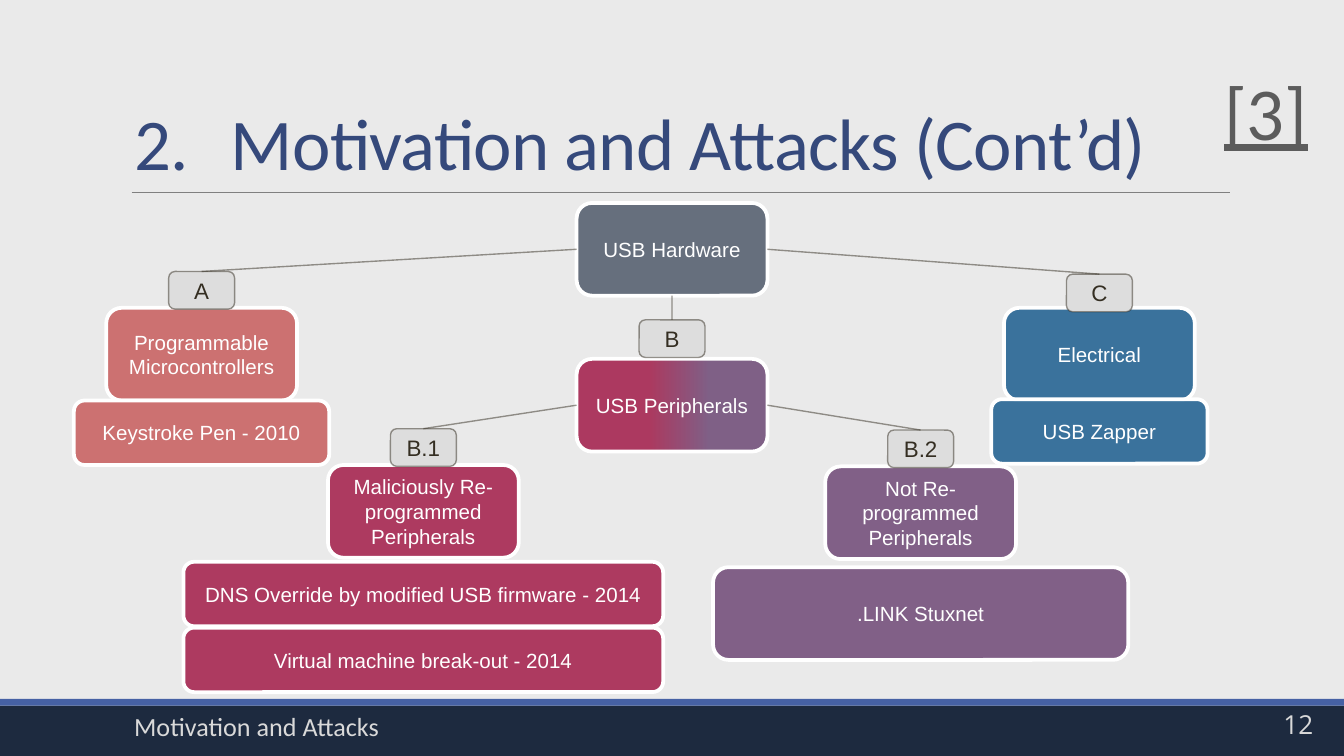
from lxml import etree
from pptx import Presentation
from pptx.dml.color import RGBColor
from pptx.enum.shapes import MSO_CONNECTOR, MSO_SHAPE
from pptx.enum.text import MSO_ANCHOR, PP_ALIGN
from pptx.oxml.ns import qn
from pptx.util import Pt

SCALE = 4572
SLIDE_WIDTH, SLIDE_HEIGHT = 2000, 1125
NODE_WIDTH, NODE_HEIGHT = 284, 138
TAG_WIDTH, TAG_HEIGHT = 98, 56
LEAF_HEIGHT, LEAF_PITCH = 96, 98
TOP, LEFT, BOTTOM, RIGHT = range(4)

RECTANGLE = MSO_SHAPE.RECTANGLE
ROUNDED = MSO_SHAPE.ROUNDED_RECTANGLE
STRAIGHT = MSO_CONNECTOR.STRAIGHT
ALIGN_LEFT, ALIGN_CENTER, ALIGN_RIGHT = PP_ALIGN.LEFT, PP_ALIGN.CENTER, PP_ALIGN.RIGHT
ANCHOR_TOP, ANCHOR_MIDDLE, ANCHOR_BOTTOM = MSO_ANCHOR.TOP, MSO_ANCHOR.MIDDLE, MSO_ANCHOR.BOTTOM

BACKGROUND = RGBColor(0xEA, 0xEA, 0xEA)
NAVY = RGBColor(0x1D, 0x2A, 0x3F)
ACCENT = RGBColor(0x46, 0x61, 0xA4)
RULE_GRAY = RGBColor(0x80, 0x80, 0x80)
TITLE_BLUE = RGBColor(0x35, 0x49, 0x7B)
FOOTER_GRAY = RGBColor(0xD9, 0xD9, 0xD9)
REFERENCE_GRAY = RGBColor(0x5C, 0x5C, 0x5C)
WHITE = RGBColor(0xFF, 0xFF, 0xFF)
SLATE = RGBColor(0x3B, 0x47, 0x59)
RED = RGBColor(0xC3, 0x49, 0x49)
CRIMSON = RGBColor(0x99, 0x00, 0x33)
PURPLE = RGBColor(0x5E, 0x33, 0x67)
BLUE = RGBColor(0x00, 0x4A, 0x82)
TAG_GRAY = RGBColor(0xDD, 0xDD, 0xDD)
INK = RGBColor(0x34, 0x2E, 0x22)


def px(*lengths):
    return [length * SCALE for length in lengths]


def fade(element, percent):
    for color in element.iter(qn("a:srgbClr")):
        etree.SubElement(color, qn("a:alpha")).set("val", str(percent * 1000))


def write(shape, text, font, size, color, align, anchor):
    frame = shape.text_frame
    frame.word_wrap = True
    frame.vertical_anchor = anchor
    paragraph = frame.paragraphs[0]
    paragraph.alignment = align
    run = paragraph.add_run()
    run.text = text
    run.font.name = font
    run.font.size = Pt(size)
    run.font.color.rgb = color
    return paragraph, run


def add_text(slide, box, text, font, size, color, align=ALIGN_LEFT, anchor=ANCHOR_MIDDLE):
    shape = slide.shapes.add_textbox(*px(*box))
    return write(shape, text, font, size, color, align, anchor)


def add_band(slide, box, color):
    shape = slide.shapes.add_shape(RECTANGLE, *px(*box))
    shape.shadow.inherit = False
    shape.fill.solid()
    shape.fill.fore_color.rgb = color
    shape.line.fill.background()


def add_line(slide, color, width, ends=(0, 0, 0, 0)):
    line = slide.shapes.add_connector(STRAIGHT, *px(*ends))
    line.line.color.rgb = color
    line.line.width = Pt(width)
    etree.SubElement(line._element.spPr, qn("a:effectLst"))
    return line


def link(slide, start, start_side, end):
    line = add_line(slide, INK, 0.75)
    fade(line._element.spPr, 50)
    line.begin_connect(start, start_side)
    line.end_connect(end, TOP)


def fill_gradient(shape, stops):
    shape.fill.gradient()
    shape.fill.gradient_angle = 0
    stop_list = shape._element.spPr.find(".//" + qn("a:gsLst"))
    for stop in list(stop_list):
        stop_list.remove(stop)
    for position, color in stops:
        stop = etree.SubElement(stop_list, qn("a:gs"), pos=str(position * 1000))
        etree.SubElement(stop, qn("a:srgbClr"), val=str(color))


def add_node(slide, box, text, color, gradient=None):
    node = slide.shapes.add_shape(ROUNDED, *px(*box))
    node.shadow.inherit = False
    if gradient:
        fill_gradient(node, gradient)
    else:
        node.fill.solid()
        node.fill.fore_color.rgb = color
    fade(node._element.spPr, 75)
    node.line.color.rgb = WHITE
    node.line.width = Pt(2)
    write(node, text, "Arial", 11, WHITE, ALIGN_CENTER, ANCHOR_MIDDLE)
    return node


def add_tag(slide, box, text):
    tag = slide.shapes.add_shape(ROUNDED, *px(*box))
    tag.shadow.inherit = False
    tag.line.color.rgb = INK
    tag.line.width = Pt(0.75)
    fade(tag._element.spPr, 50)
    tag.fill.solid()
    tag.fill.fore_color.rgb = TAG_GRAY
    write(tag, text, "Arial", 12, INK, ALIGN_CENTER, ANCHOR_MIDDLE)
    return tag


def add_branch(slide, left, top, drop, label, text, color, leaves=(), leaf_drop=0,
               leaf_width=0, leaf_height=LEAF_HEIGHT, gradient=None):
    center = left + NODE_WIDTH // 2
    node_top = top + drop
    node = add_node(slide, (left, node_top, NODE_WIDTH, NODE_HEIGHT), text, color, gradient)
    tag = add_tag(slide, (center - TAG_WIDTH // 2, top, TAG_WIDTH, TAG_HEIGHT), label)
    for index, leaf in enumerate(leaves):
        leaf_top = node_top + leaf_drop + index * LEAF_PITCH
        add_node(slide, (center - leaf_width // 2, leaf_top, leaf_width, leaf_height), leaf, color)
    return node, tag


def add_tree(slide, left, top):
    root = add_node(slide, (left + 700, top, NODE_WIDTH, NODE_HEIGHT), "USB Hardware", SLATE)
    _, tag_a = add_branch(slide, left, top + 102, 54, "A", "Programmable Microcontrollers", RED,
                          ["Keystroke Pen - 2010"], 138, 380)
    hub, tag_b = add_branch(slide, left + 700, top + 174, 58, "B", "USB Peripherals", CRIMSON,
                            gradient=[(0, CRIMSON), (38, CRIMSON), (69, PURPLE), (100, PURPLE)])
    _, tag_c = add_branch(slide, left + 1336, top + 106, 50, "C", "Electrical", BLUE,
                          ["USB Zapper"], 136, 322)
    _, tag_b1 = add_branch(slide, left + 330, top + 336, 54, "B.1",
                           "Maliciously Re-programmed Peripherals", CRIMSON,
                           ["DNS Override by modified USB firmware - 2014",
                            "Virtual machine break-out - 2014"], 144, 714)
    _, tag_b2 = add_branch(slide, left + 1070, top + 338, 54, "B.2",
                           "Not Re-programmed Peripherals", PURPLE,
                           [".LINK Stuxnet"], 150, 618, NODE_HEIGHT)
    for start, side, end in [(root, LEFT, tag_a), (root, BOTTOM, tag_b), (root, RIGHT, tag_c),
                             (hub, LEFT, tag_b1), (hub, RIGHT, tag_b2)]:
        link(slide, start, side, end)


def add_header(slide, left, top):
    paragraph, run = add_text(slide, (left, top, 1774, 238), "2.\tMotivation and Attacks (Cont’d)",
                              "Calibri", 39, TITLE_BLUE, anchor=ANCHOR_BOTTOM)
    paragraph.line_spacing = 0.85
    properties = paragraph._element.get_or_add_pPr()
    tabs = etree.SubElement(properties, qn("a:tabLst"))
    etree.SubElement(tabs, qn("a:tab"), pos=str(144 * SCALE), algn="l")
    run._r.get_or_add_rPr().set("spc", "-40")
    add_line(slide, RULE_GRAY, 0.5, (left + 16, top + 238, left + 1650, top + 238))
    _, reference = add_text(slide, (left + 1622, top + 40, 172, 154), "[3]", "Calibri", 40,
                            REFERENCE_GRAY, anchor=ANCHOR_TOP)
    reference.font.underline = True


def add_footer(slide, top):
    add_band(slide, (0, top + 10, SLIDE_WIDTH, 75), NAVY)
    add_band(slide, (0, top, SLIDE_WIDTH, 10), ACCENT)
    add_text(slide, (180, top + 10, 792, 60), "Motivation and Attacks", "Calibri", 14, FOOTER_GRAY)
    add_text(slide, (1854, top + 10, 120, 56), "12", "Open Sans", 14, FOOTER_GRAY, ALIGN_RIGHT)


def main():
    presentation = Presentation()
    presentation.slide_width, presentation.slide_height = px(SLIDE_WIDTH, SLIDE_HEIGHT)
    slide = presentation.slides.add_slide(presentation.slide_layouts[6])
    slide.background.fill.solid()
    slide.background.fill.fore_color.rgb = BACKGROUND
    add_footer(slide, 1040)
    add_header(slide, 180, 48)
    add_tree(slide, 158, 302)
    presentation.save("out.pptx")


if __name__ == "__main__":
    main()
